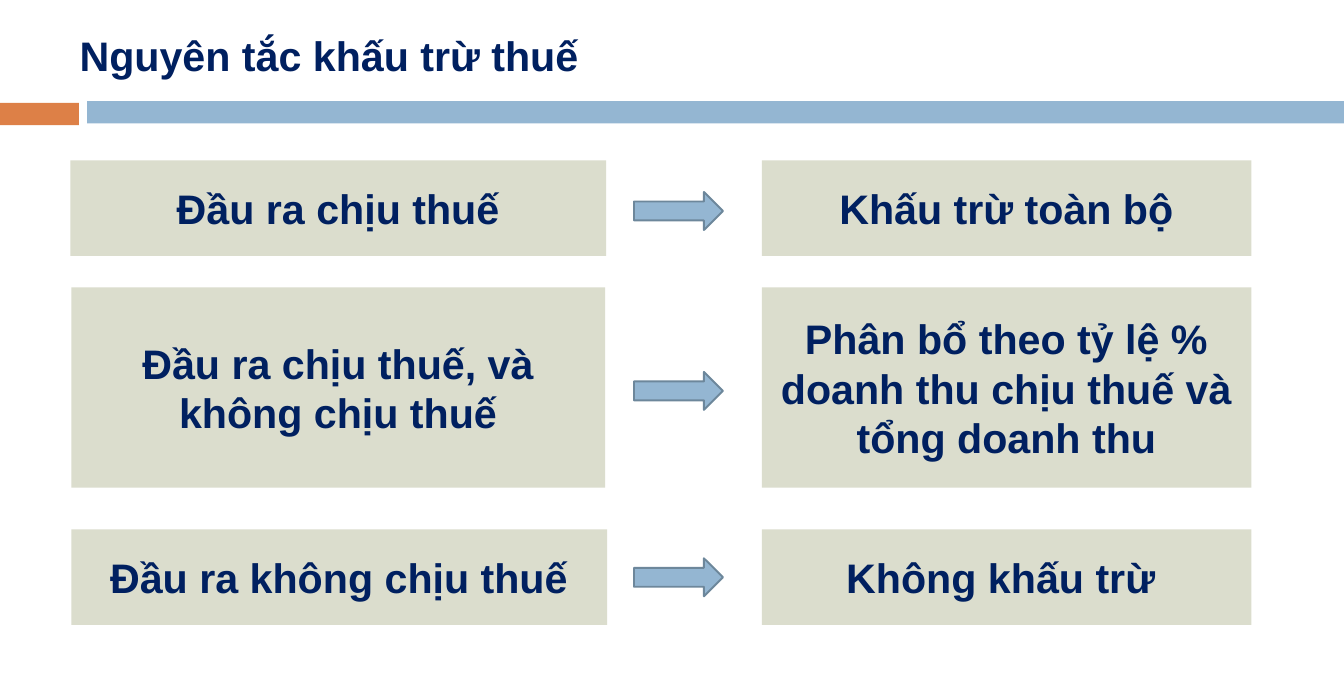
from pptx import Presentation
from pptx.dml.color import RGBColor
from pptx.enum.shapes import MSO_SHAPE
from pptx.enum.text import MSO_ANCHOR, PP_ALIGN
from pptx.util import Inches, Pt

RECTANGLE, RIGHT_ARROW = MSO_SHAPE.RECTANGLE, MSO_SHAPE.RIGHT_ARROW
MIDDLE = MSO_ANCHOR.MIDDLE
LEFT, CENTER = PP_ALIGN.LEFT, PP_ALIGN.CENTER

THEME = {
    "font": "Arial",
    "size": 32,
    "text": "002060",
    "accent": "DD8047",
    "blue": "94B6D2",
    "arrow_line": "6D879B",
    "panel": "DBDDCD",
}

TITLE = "Nguyên tắc khấu trừ thuế"
BANDS = [
    ((0, 1.11, 0.85, 0.24), "accent"),
    ((0.94, 1.09, 13.56, 0.24), "blue"),
]
RULES = [
    {"output": "Đầu ra chịu thuế", "deduction": "Khấu trừ toàn bộ",
     "top": 1.73, "height": 1.03, "left": 0.76, "width": 5.78, "arrow_top": 2.07},
    {"output": "Đầu ra chịu thuế, và không chịu thuế",
     "deduction": "Phân bổ theo tỷ lệ % doanh thu chịu thuế và tổng doanh thu",
     "top": 3.1, "height": 2.16, "left": 0.77, "width": 5.76, "arrow_top": 4.01},
    {"output": "Đầu ra không chịu thuế", "deduction": "Không khấu trừ ",
     "top": 5.71, "height": 1.03, "left": 0.77, "width": 5.78, "arrow_top": 6.02},
]
ARROW_LEFT, ARROW_WIDTH, ARROW_HEIGHT = 6.84, 0.96, 0.41
DEDUCTION_LEFT, DEDUCTION_WIDTH = 8.22, 5.28


def color(name):
    return RGBColor.from_string(THEME[name])


def add_block(page, kind, place, fill, line=None):
    block = page.shapes.add_shape(kind, *map(Inches, place))
    block.shadow.inherit = False
    block.fill.solid()
    block.fill.fore_color.rgb = color(fill)
    if line:
        block.line.color.rgb = color(line)
        block.line.width = Pt(1.5)
    else:
        block.line.fill.background()
    return block


def write(box, text, align):
    frame = box.text_frame
    frame.word_wrap = True
    frame.vertical_anchor = MIDDLE
    para = frame.paragraphs[0]
    para.alignment = align
    span = para.add_run()
    span.text = text
    span.font.name = THEME["font"]
    span.font.size = Pt(THEME["size"])
    span.font.bold = True
    span.font.color.rgb = color("text")


def main():
    deck = Presentation()
    deck.slide_width, deck.slide_height = Inches(14.5), Inches(7.3)
    page = deck.slides.add_slide(deck.slide_layouts[6])

    for place, fill in BANDS:
        add_block(page, RECTANGLE, place, fill)

    title = page.shapes.add_textbox(*map(Inches, (0.76, 0.19, 8.74, 0.81)))
    write(title, TITLE, LEFT)

    for rule in RULES:
        top, height = rule["top"], rule["height"]
        output = add_block(page, RECTANGLE, (rule["left"], top, rule["width"], height), "panel")
        write(output, rule["output"], CENTER)
        arrow_place = (ARROW_LEFT, rule["arrow_top"], ARROW_WIDTH, ARROW_HEIGHT)
        add_block(page, RIGHT_ARROW, arrow_place, "blue", "arrow_line")
        deduction = add_block(page, RECTANGLE, (DEDUCTION_LEFT, top, DEDUCTION_WIDTH, height), "panel")
        write(deduction, rule["deduction"], CENTER)

    deck.save("out.pptx")


if __name__ == "__main__":
    main()
